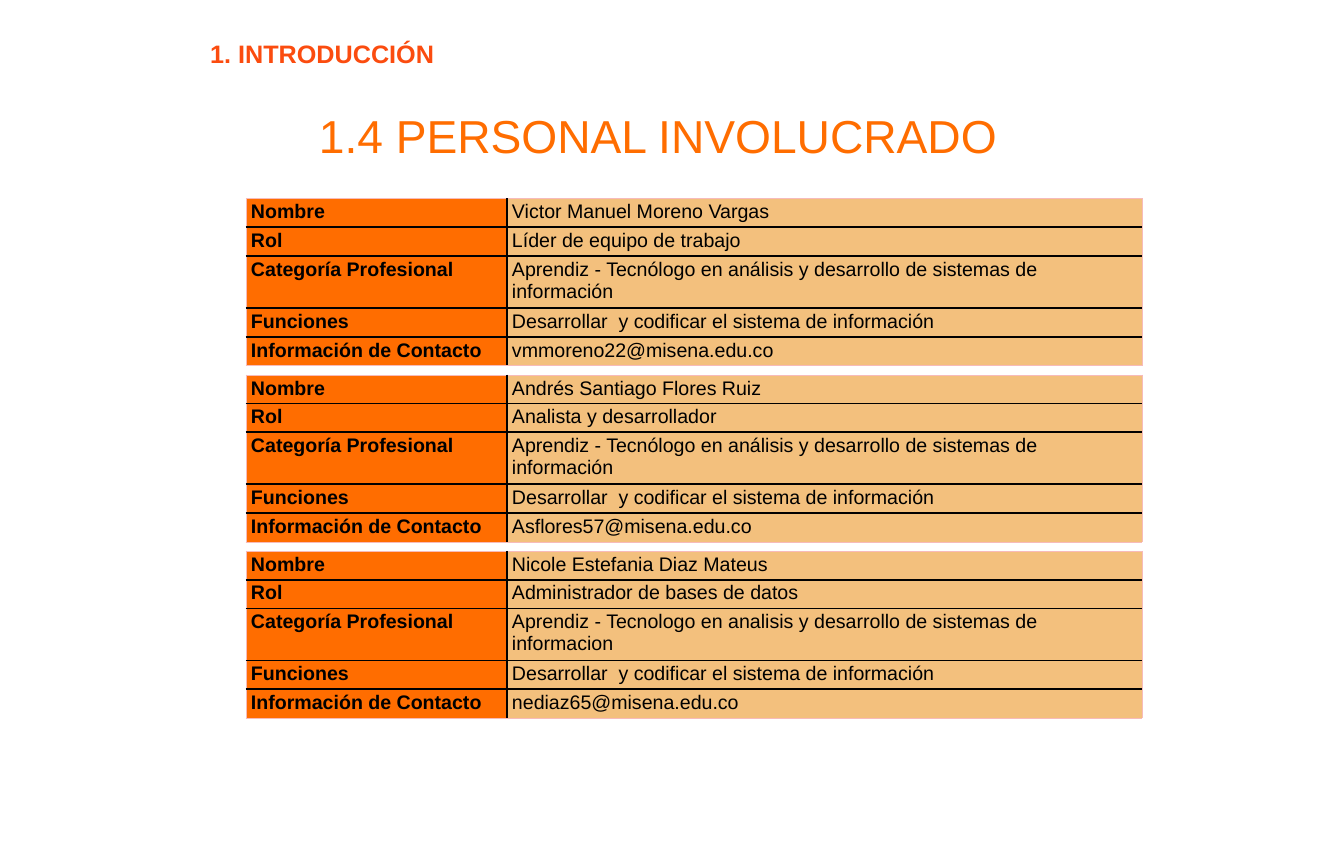
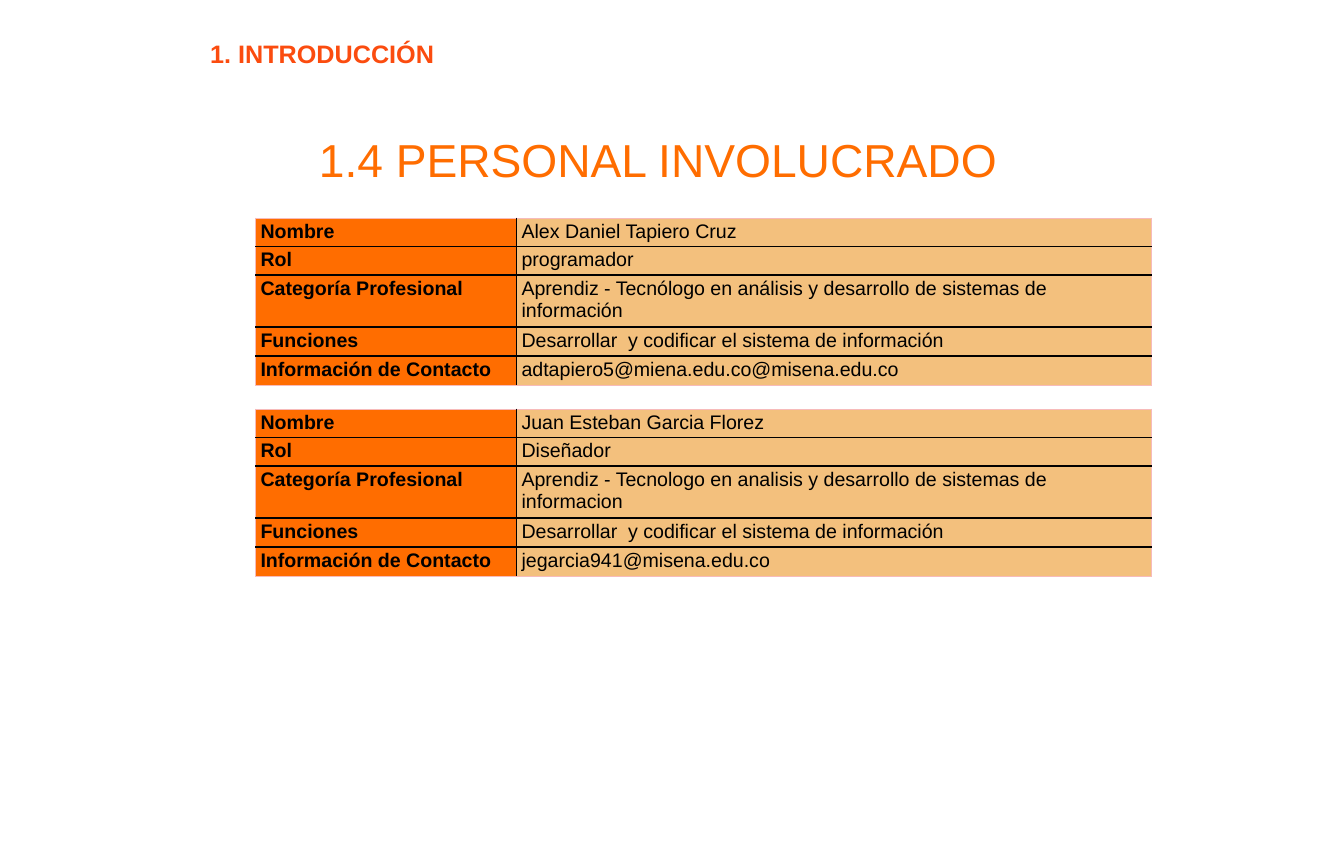
from dataclasses import dataclass
from typing import Any, NamedTuple

import pptx
import pptx.dml.color
import pptx.enum.text
import pptx.oxml
import pptx.oxml.ns
import pptx.util

ANCHOR = pptx.enum.text.MSO_ANCHOR
ALIGN = pptx.enum.text.PP_ALIGN


@dataclass(frozen=True)
class Theme:
    font: str = "Arial"
    accent: str = "FF6D00"
    section: str = "FB4C0F"
    value_fill: str = "F3C07D"
    text: str = "000000"
    inner_line: tuple[str, float] = ("000000", 3)
    outer_line: tuple[str, float] = ("F7BBBA", 0.75)
    title_size: int = 66
    section_size: int = 36
    cell_size: int = 28


class Box(NamedTuple):
    """Columns and rows of a 100 by 100 grid over the slide."""
    left: float
    top: float
    width: float
    height: float


class Person(NamedTuple):
    name: str
    role: str
    category: str
    contact: str


class Page(NamedTuple):
    title_top: float
    table_left: float
    table_top: float
    pitch: float
    people: tuple[Person, ...]


THEME = Theme()
SLIDE_W, SLIDE_H = pptx.util.Inches(26.67), pptx.util.Inches(17.22)
SECTION_BOX = Box(15.34, 4, 19.53, 4.41)
TITLE_LEFT, TITLE_W, TITLE_H = 18.3, 61.34, 6.7
COL_WIDTHS = (19.42, 47.24)
ROW_HEIGHTS = (3.31, 3.31, 5.98, 3.31, 3.31)

SECTION = "1. INTRODUCCIÓN"
TITLE = "1.4 PERSONAL INVOLUCRADO"
LABELS = ("Nombre", "Rol", "Categoría Profesional", "Funciones", "Información de Contacto")
DUTIES = "Desarrollar  y codificar el sistema de información"
CATEGORY = "Aprendiz - Tecnólogo en análisis y desarrollo de sistemas de información"
CATEGORY_PLAIN = "Aprendiz - Tecnologo en analisis y desarrollo de sistemas de informacion"

PAGES = (
    Page(12.2, 18.3, 22.88, 20.3, (
        Person("Victor Manuel Moreno Vargas", "Líder de equipo de trabajo",
               CATEGORY, "vmmoreno22@misena.edu.co"),
        Person("Andrés Santiago Flores Ruiz", "Analista y desarrollador",
               CATEGORY, "Asflores57@misena.edu.co"),
        Person("Nicole Estefania Diaz Mateus", "Administrador de bases de datos",
               CATEGORY_PLAIN, "nediaz65@misena.edu.co"),
    )),
    Page(15, 19.01, 25.09, 22.01, (
        Person("Alex Daniel Tapiero Cruz", "programador",
               CATEGORY, "adtapiero5@miena.edu.co@misena.edu.co"),
        Person("Juan Esteban Garcia Florez", "Diseñador",
               CATEGORY_PLAIN, "jegarcia941@misena.edu.co"),
    )),
)


def cols(n: float) -> int:
    return round(SLIDE_W * n / 100)


def rows(n: float) -> int:
    return round(SLIDE_H * n / 100)


def emu(box: Box) -> tuple[int, int, int, int]:
    return cols(box.left), rows(box.top), cols(box.width), rows(box.height)


def set_all(target: Any, values: dict[str, Any]) -> None:
    for name, value in values.items():
        setattr(target, name, value)


def write(tf: Any, text: str, size: int, color: str, bold: bool, align: Any = ALIGN.LEFT) -> None:
    p = tf.paragraphs[0]
    p.alignment = align
    r = p.add_run()
    r.text = text
    set_all(r.font, {"name": THEME.font, "size": pptx.util.Pt(size), "bold": bold})
    r.font.color.rgb = pptx.dml.color.RGBColor.from_string(color)


def add_title(s: Any, top: float) -> None:
    sp = s.shapes.title
    box = emu(Box(TITLE_LEFT, top, TITLE_W, TITLE_H))
    set_all(sp, dict(zip(("left", "top", "width", "height"), box)))
    set_all(sp.text_frame, {"word_wrap": True, "vertical_anchor": ANCHOR.MIDDLE,
                            "auto_size": pptx.enum.text.MSO_AUTO_SIZE.NONE})
    write(sp.text_frame, TITLE, THEME.title_size, THEME.accent, False, ALIGN.CENTER)


def add_section(s: Any) -> None:
    tf = s.shapes.add_textbox(*emu(SECTION_BOX)).text_frame
    inset = pptx.util.Inches(0.08)
    set_all(tf, {"word_wrap": True, "vertical_anchor": ANCHOR.MIDDLE,
                 "margin_left": inset, "margin_right": inset})
    write(tf, SECTION, THEME.section_size, THEME.section, True)


def add_borders(cell: Any, row: int, col: int) -> None:
    """Thin pale lines on the table's outline, thick dark ones inside."""
    outer = {"L": col == 0, "R": col == len(COL_WIDTHS) - 1,
             "T": row == 0, "B": row == len(ROW_HEIGHTS) - 1}
    tc_pr = cell._tc.get_or_add_tcPr()
    for side, is_outer in outer.items():
        color, width = THEME.outer_line if is_outer else THEME.inner_line
        tc_pr.append(pptx.oxml.parse_xml(
            f'<a:ln{side} {pptx.oxml.ns.nsdecls("a")} w="{pptx.util.Pt(width)}">'
            f'<a:solidFill><a:srgbClr val="{color}"/></a:solidFill></a:ln{side}>'))


def add_person(s: Any, person: Person, left: float, top: float) -> None:
    box = Box(left, top, sum(COL_WIDTHS), sum(ROW_HEIGHTS))
    values = (person.name, person.role, person.category, DUTIES, person.contact)
    table = s.shapes.add_table(len(LABELS), len(COL_WIDTHS), *emu(box)).table
    set_all(table, {"first_row": False, "horz_banding": False})
    for column, width in zip(table.columns, COL_WIDTHS):
        column.width = cols(width)
    for i, (height, texts) in enumerate(zip(ROW_HEIGHTS, zip(LABELS, values))):
        table.rows[i].height = rows(height)
        for j, text in enumerate(texts):
            cell = table.cell(i, j)
            add_borders(cell, i, j)
            cell.fill.solid()
            cell.fill.fore_color.rgb = pptx.dml.color.RGBColor.from_string(
                THEME.accent if j == 0 else THEME.value_fill)
            write(cell.text_frame, text, THEME.cell_size, THEME.text, j == 0)


def main() -> None:
    prs = pptx.Presentation()
    set_all(prs, {"slide_width": SLIDE_W, "slide_height": SLIDE_H})
    for page in PAGES:
        s = prs.slides.add_slide(prs.slide_layouts.get_by_name("Title Only"))
        add_title(s, page.title_top)
        add_section(s)
        for i, person in enumerate(page.people):
            add_person(s, person, page.table_left, page.table_top + i * page.pitch)
    prs.save("out.pptx")


if __name__ == "__main__":
    main()
